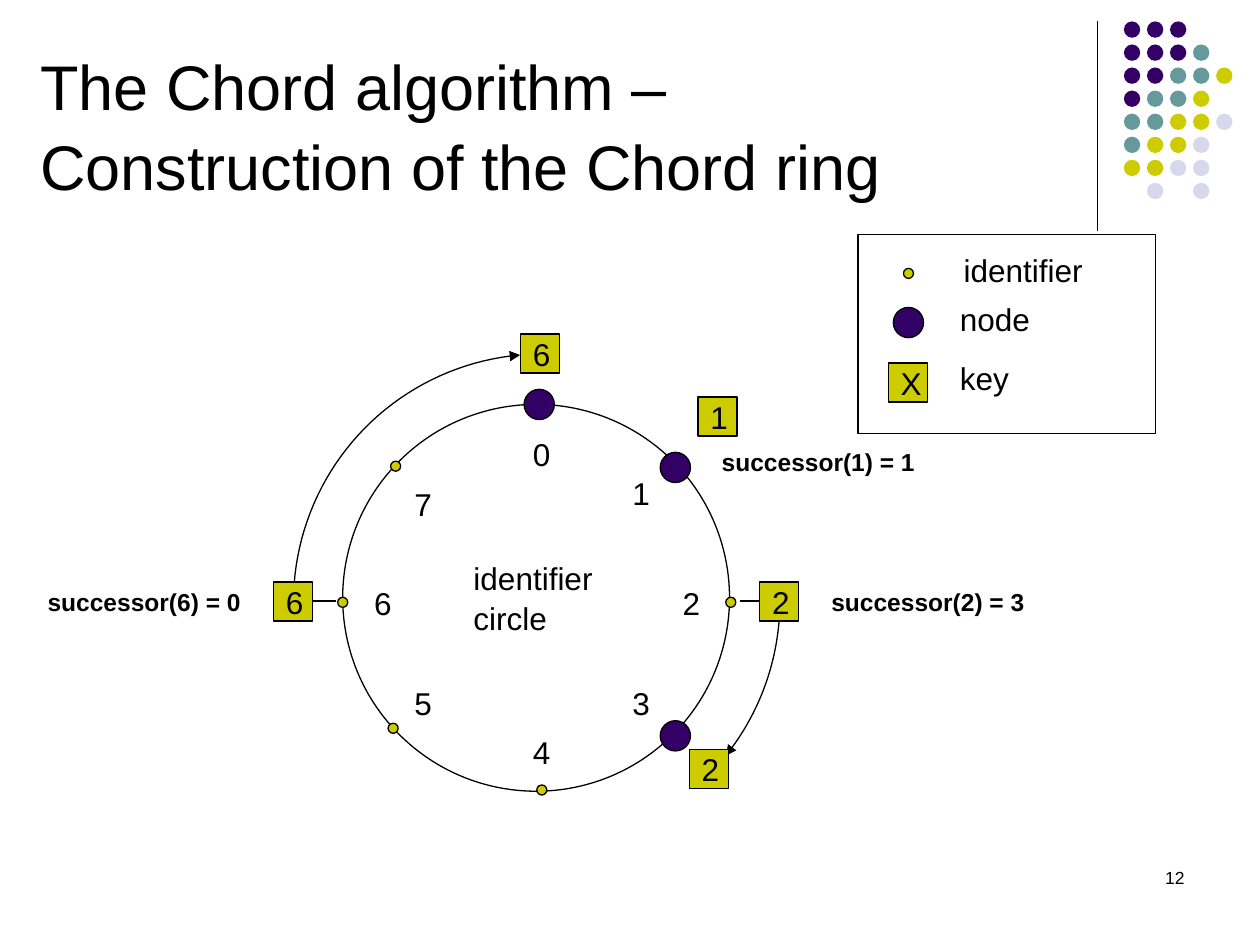
"""Build the slide on the construction of the Chord ring."""
from math import cos, radians, sin

from lxml import etree
from pptx import Presentation
from pptx.dml.color import RGBColor
from pptx.enum.shapes import MSO_CONNECTOR, MSO_SHAPE
from pptx.enum.text import MSO_ANCHOR, MSO_AUTO_SIZE, PP_ALIGN
from pptx.oxml.ns import qn
from pptx.util import Inches, Pt

OVAL, RECTANGLE = MSO_SHAPE.OVAL, MSO_SHAPE.RECTANGLE
STRAIGHT = MSO_CONNECTOR.STRAIGHT
LEFT, RIGHT = PP_ALIGN.LEFT, PP_ALIGN.RIGHT
TOP, MIDDLE, BOTTOM = MSO_ANCHOR.TOP, MSO_ANCHOR.MIDDLE, MSO_ANCHOR.BOTTOM

BLACK, PURPLE, YELLOW = "000000", "330066", "CCCC00"
DOT_COLORS = {"P": PURPLE, "T": "669999", "Y": YELLOW, "L": "D8D8EC"}
DOT_ROWS = ["PPP", "PPPT", "PPTTY", "PTTY", "TTYYL", "TYYL", "YYLL", " L L"]
DOT_LEFT, DOT_TOP, DOT_PITCH, DOT_SIZE = 8.92, 0.17, 0.183, 0.13

TITLE = "The Chord algorithm –\vConstruction of the Chord ring"
LINES = [(8.71, 0.17, 8.71, 1.83), (2.67, 4.77, 2.35, 4.77), (6.18, 4.77, 5.87, 4.77)]
ARCS = [(4.3, 4.78, 180, 265), (4.22, 4.77, 0, 38.5)]
ARC_RADIUS, ARC_STEPS = 1.97, 40

IDENTIFIER_SIZE, NODE_SIZE, KEY_SIZE = 0.08, 0.24, 0.31
IDENTIFIERS = [(4.24, 3.18), (5.31, 3.64), (5.76, 4.74), (5.33, 5.77),
               (4.26, 6.23), (3.08, 5.74), (2.68, 4.74), (3.1, 3.66), (7.17, 2.13)]
NODES = [(4.16, 3.09), (5.24, 3.59), (5.24, 5.72), (7.09, 2.44)]
KEYS = [("6", 4.13, 2.65), ("1", 5.54, 3.15), ("2", 5.47, 5.95),
        ("6", 2.17, 4.62), ("2", 6.03, 4.62), ("X", 7.05, 2.88)]
RING_LABELS = [(4.13, 3.45), (4.92, 3.76), (5.32, 4.63), (4.92, 5.42),
               (4.13, 5.81), (3.19, 5.42), (2.87, 4.63), (3.19, 3.84)]
LEGEND_LABELS = [("identifier", 7.55, 2.02), ("node", 7.52, 2.41), ("key", 7.52, 2.88)]
SUCCESSORS = [("successor(1) = 1", 5.63, 3.51), ("successor(2) = 3", 6.5, 4.62),
              ("successor(6) = 0", 0.28, 4.62)]


def color(hex_value):
    """Turn a hex string into a colour."""
    return RGBColor.from_string(hex_value)


def write(shape, text, size=18, bold=False, align=LEFT, anchor=MIDDLE, wrap=False, spacing=None):
    """Put formatted text into a shape."""
    frame = shape.text_frame
    frame.text = text
    frame.auto_size = MSO_AUTO_SIZE.NONE
    frame.word_wrap = wrap
    frame.vertical_anchor = anchor
    for paragraph in frame.paragraphs:
        paragraph.alignment = align
        paragraph.line_spacing = spacing
        for run in paragraph.runs:
            run.font.name = "Arial"
            run.font.size = Pt(size)
            run.font.bold = bold
            run.font.color.rgb = color(BLACK)


def add_label(slide, text, left, top, width, height, **text_format):
    """Add a text box."""
    box = slide.shapes.add_textbox(*map(Inches, (left, top, width, height)))
    write(box, text, **text_format)


def outline(shape, line=BLACK):
    """Give a shape a thin line, or none, and no shadow."""
    shape.shadow.inherit = False
    if line:
        shape.line.color.rgb = color(line)
        shape.line.width = Pt(0.75)
    else:
        shape.line.fill.background()


def add_figure(slide, kind, left, top, width, height, fill=None, line=BLACK):
    """Add a preset shape."""
    shape = slide.shapes.add_shape(kind, *map(Inches, (left, top, width, height)))
    if fill:
        shape.fill.solid()
        shape.fill.fore_color.rgb = color(fill)
    else:
        shape.fill.background()
    outline(shape, line)
    return shape


def add_line(slide, *ends):
    """Add a straight line."""
    connector = slide.shapes.add_connector(STRAIGHT, *map(Inches, ends))
    connector.line.color.rgb = color(BLACK)
    connector.line.width = Pt(0.75)
    etree.SubElement(connector.element.spPr, qn("a:effectLst"))


def add_arc_arrow(slide, center_x, center_y, start, end):
    """Add a clockwise circular arc that ends in an arrowhead."""
    angles = [radians(start + (end - start) * step / ARC_STEPS) for step in range(ARC_STEPS + 1)]
    points = [(Inches(center_x + ARC_RADIUS * cos(angle)),
               Inches(center_y + ARC_RADIUS * sin(angle))) for angle in angles]
    builder = slide.shapes.build_freeform(*points[0])
    builder.add_line_segments(points[1:], close=False)
    arc = builder.convert_to_shape()
    arc.fill.background()
    outline(arc)
    etree.SubElement(arc.line._get_or_add_ln(), qn("a:tailEnd"), type="triangle")


def add_title(slide):
    """Place and format the title."""
    title = slide.shapes.title
    title.left, title.top, title.width, title.height = map(Inches, (0.22, 0.41, 8, 1.25))
    write(title, TITLE, size=36, anchor=BOTTOM, wrap=True, spacing=1.05)


def add_dots(slide):
    """Draw the decorative dot grid."""
    for row, codes in enumerate(DOT_ROWS):
        for column, code in enumerate(codes):
            if code in DOT_COLORS:
                add_figure(slide, OVAL, DOT_LEFT + column * DOT_PITCH, DOT_TOP + row * DOT_PITCH,
                           DOT_SIZE, DOT_SIZE, fill=DOT_COLORS[code], line=None)


def add_diagram(slide):
    """Draw the ring, its keys and nodes, and the legend."""
    for ends in LINES:
        add_line(slide, *ends)
    for arc in ARCS:
        add_arc_arrow(slide, *arc)
    add_figure(slide, OVAL, 2.72, 3.21, 3.07, 3.07)
    add_figure(slide, RECTANGLE, 6.81, 1.86, 2.36, 1.58)
    for positions, size, fill in ((IDENTIFIERS, IDENTIFIER_SIZE, YELLOW),
                                  (NODES, NODE_SIZE, PURPLE)):
        for left, top in positions:
            add_figure(slide, OVAL, left, top, size, size, fill=fill)
    for text, left, top in KEYS:
        write(add_figure(slide, RECTANGLE, left, top, KEY_SIZE, KEY_SIZE, fill=YELLOW), text)


def add_labels(slide):
    """Write the labels of the ring, the legend and the successors."""
    for number, (left, top) in enumerate(RING_LABELS):
        add_label(slide, str(number), left, top, 0.32, 0.31)
    for text, left, top in LEGEND_LABELS:
        add_label(slide, text, left, top, 1.26, 0.24)
    for text, left, top in SUCCESSORS:
        add_label(slide, text, left, top, 1.73, 0.31, size=14, bold=True)
    add_label(slide, "identifier\ncircle", 3.66, 4.38, 1.26, 0.71, spacing=1.05)
    add_label(slide, "12", 7.17, 6.83, 2.33, 0.5, size=10, align=RIGHT, anchor=TOP, wrap=True)


def main():
    """Build and save the presentation."""
    presentation = Presentation()
    presentation.slide_width, presentation.slide_height = Inches(10), Inches(7.5)
    slide = presentation.slides.add_slide(presentation.slide_layouts[5])
    add_title(slide)
    add_dots(slide)
    add_diagram(slide)
    add_labels(slide)
    presentation.save("out.pptx")


if __name__ == "__main__":
    main()
